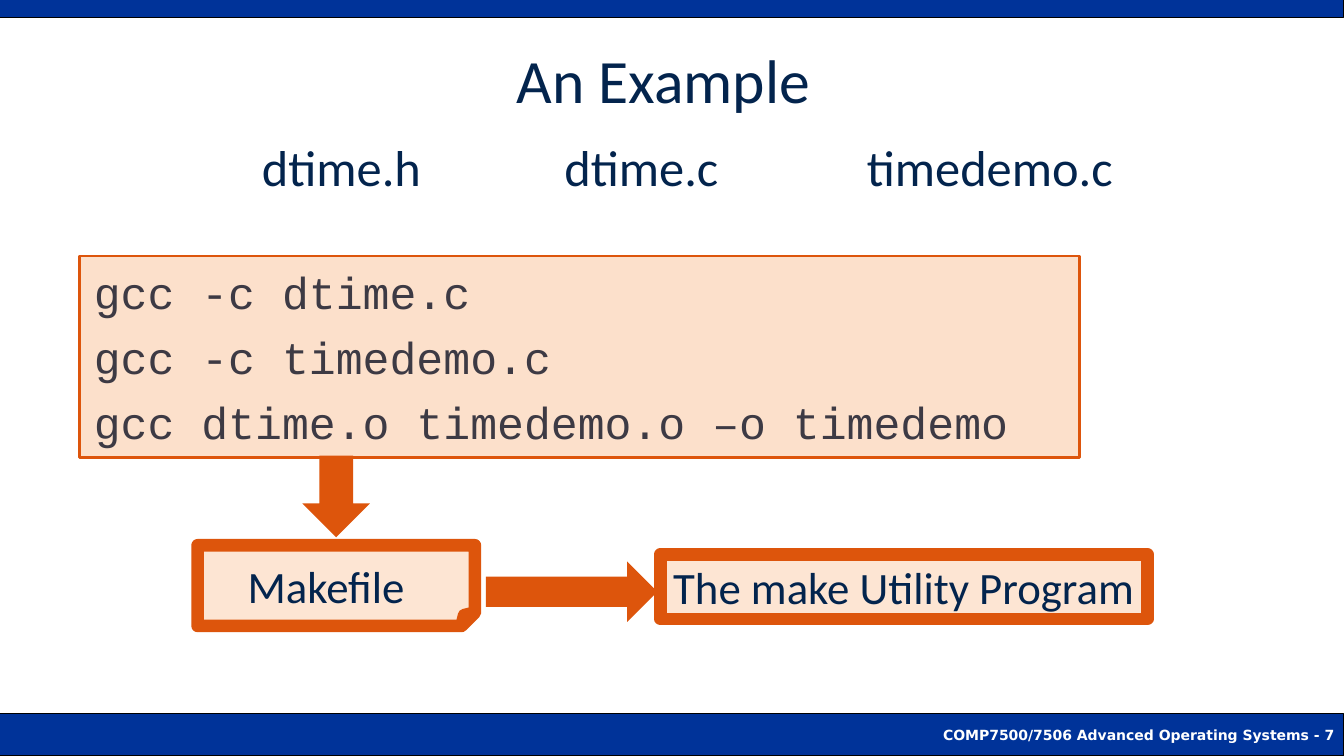
from lxml.etree import SubElement
from pptx import Presentation
from pptx.dml.color import RGBColor
from pptx.enum.shapes import MSO_SHAPE
from pptx.enum.text import MSO_ANCHOR, PP_ALIGN
from pptx.oxml.ns import qn
from pptx.util import Inches, Pt

NAVY = RGBColor(0x03, 0x24, 0x4D)
BLUE = RGBColor(0x00, 0x33, 0x99)
ORANGE = RGBColor(0xDD, 0x55, 0x0C)
PEACH = RGBColor(0xF6, 0x80, 0x26)
CODE = RGBColor(0x3D, 0x3A, 0x44)
BLACK = RGBColor(0, 0, 0)
WHITE = RGBColor(0xFF, 0xFF, 0xFF)


def add_box(s, kind, box, fill, line=None, width=0, opacity=100):
    """Add a filled preset shape with an optional outline."""
    sp = s.shapes.add_shape(kind, *map(Inches, box))
    sp.shadow.inherit = False
    sp.fill.solid()
    sp.fill.fore_color.rgb = fill
    if opacity < 100:
        color = sp.fill._xPr.find(qn("a:solidFill"))[0]
        SubElement(color, qn("a:alpha"), val=str(opacity * 1000))
    if line is None:
        sp.line.fill.background()
    else:
        sp.line.color.rgb = line
        sp.line.width = Pt(width)
    return sp


def set_text(sp, lines, size, color=NAVY, font="Calibri", align=PP_ALIGN.CENTER,
             anchor=MSO_ANCHOR.MIDDLE, bold=False, gap=0, wrap=True):
    """Write one paragraph per line into a shape."""
    tf = sp.text_frame
    tf.word_wrap = wrap
    tf.vertical_anchor = anchor
    for i, line in enumerate(lines):
        p = tf.paragraphs[0] if i == 0 else tf.add_paragraph()
        p.text = line
        p.alignment = align
        if i:
            p.space_before = Pt(gap)
        p.font.name = font
        p.font.size = Pt(size)
        p.font.bold = bold
        p.font.color.rgb = color
    return tf


def add_text(s, box, text, size, **style):
    """Add a text box with one line of text."""
    return set_text(s.shapes.add_textbox(*map(Inches, box)), [text], size, **style)


def main():
    """Build the slide and save it."""
    prs = Presentation()
    prs.slide_width, prs.slide_height = Inches(13.33), Inches(7.5)
    s = prs.slides.add_slide(prs.slide_layouts[6])

    footer = add_box(s, MSO_SHAPE.RECTANGLE, (0, 7.08, 13.33, 0.42), BLUE, BLACK, 0.75)
    set_text(footer, ["COMP7500/7506 Advanced Operating Systems - 7"], 10, WHITE,
             "DejaVu Sans", PP_ALIGN.RIGHT, bold=True, wrap=False)
    add_box(s, MSO_SHAPE.RECTANGLE, (0, 0, 13.33, 0.17), BLUE, BLACK, 0.75)

    add_text(s, (0.83, 0.32, 11.5, 0.92), "An Example", 44)
    for i, name in enumerate(["dtime.h", "dtime.c", "timedemo.c"]):
        add_text(s, (2.5 + 3 * i, 1.3, 2.8, 0.72), name, 36,
                 align=PP_ALIGN.LEFT, anchor=MSO_ANCHOR.TOP)

    commands = add_box(s, MSO_SHAPE.RECTANGLE, (0.79, 2.54, 9.92, 2), PEACH, ORANGE, 2, 24)
    tf = set_text(commands, ["gcc -c dtime.c", "gcc -c timedemo.c",
                             "gcc dtime.o timedemo.o –o timedemo"],
                  32, CODE, "Courier New", PP_ALIGN.LEFT, gap=8)
    tf.margin_left = Inches(0.14)

    utility = add_box(s, MSO_SHAPE.RECTANGLE, (6.55, 5.5, 4.83, 0.64), PEACH, ORANGE, 9, 20)
    set_text(utility, ["The make Utility Program"], 32)
    add_box(s, MSO_SHAPE.DOWN_ARROW, (3, 4.52, 0.67, 0.81), ORANGE)
    makefile = add_box(s, MSO_SHAPE.FOLDED_CORNER, (1.96, 5.41, 2.75, 0.8), PEACH, ORANGE, 9, 20)
    tf = set_text(makefile, ["Makefile"], 32)
    tf.margin_right = Inches(0.3)
    tf.margin_top, tf.margin_bottom = Inches(0.13), 0
    add_box(s, MSO_SHAPE.RIGHT_ARROW, (4.82, 5.57, 1.7, 0.6), ORANGE)

    prs.save("out.pptx")


if __name__ == "__main__":
    main()
